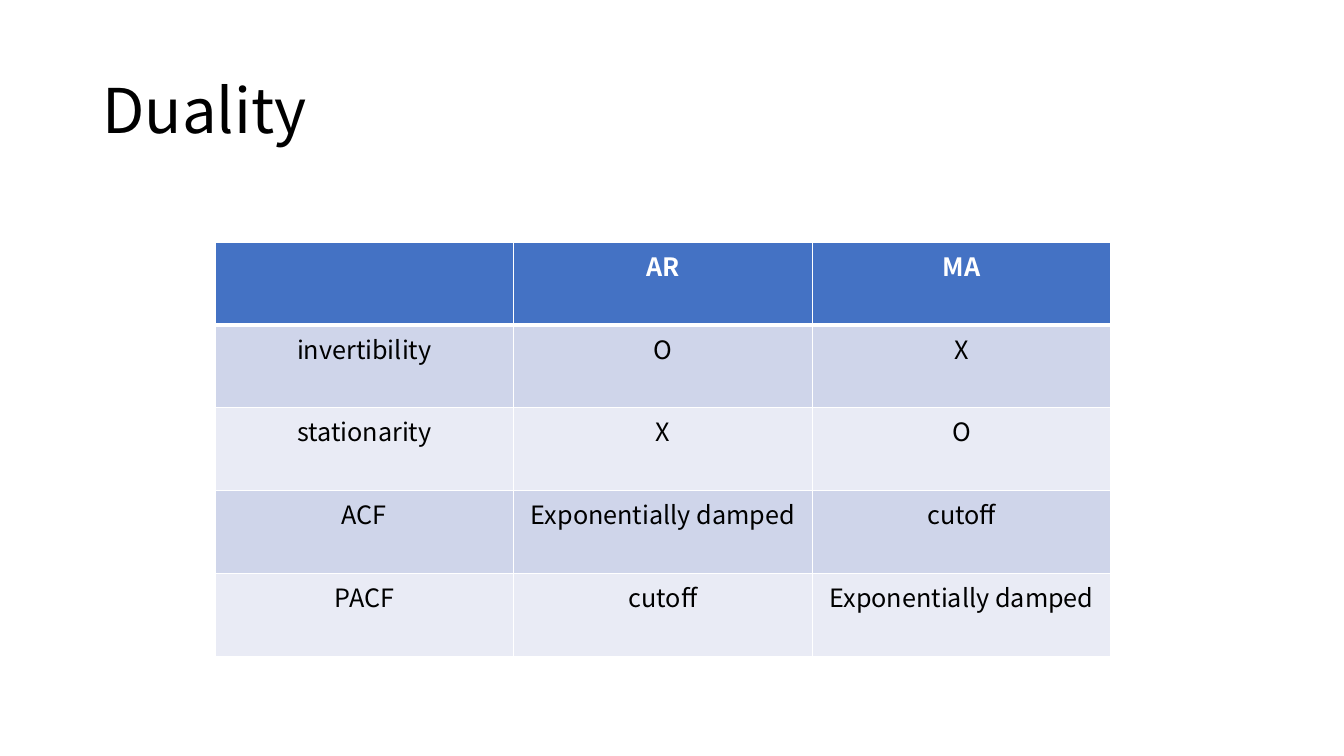
from dataclasses import dataclass

from lxml import etree
from pptx import Presentation
from pptx.dml.color import RGBColor
from pptx.enum.text import MSO_ANCHOR, PP_ALIGN
from pptx.oxml.ns import qn
from pptx.util import Pt

MIDDLE = MSO_ANCHOR.MIDDLE
LEFT, CENTER = PP_ALIGN.LEFT, PP_ALIGN.CENTER


@dataclass(frozen=True)
class Theme:
    font: str = "Noto Sans CJK KR"
    title_size: float = 44
    cell_size: float = 18
    text: str = "000000"
    header_text: str = "FFFFFF"
    header_fill: str = "4472C4"
    bands: tuple[str, str] = ("CFD5EA", "E9EBF5")
    border: str = "FFFFFF"
    thin: float = 1
    thick: float = 3


@dataclass(frozen=True)
class Box:
    left: float
    top: float
    width: float
    height: float

    def lengths(self) -> tuple[Pt, Pt, Pt, Pt]:
        return Pt(self.left), Pt(self.top), Pt(self.width), Pt(self.height)


THEME = Theme()
TITLE_BOX = Box(66, 28.75, 828, 104.4)
TABLE_BOX = Box(153.6, 172.8, 640, 296)
ROWS = (
    ("", "AR", "MA"),
    ("invertibility", "O", "X"),
    ("stationarity", "X", "O"),
    ("ACF", "Exponentially damped", "cutoff"),
    ("PACF", "cutoff", "Exponentially damped"),
)


def write(tf, text: str, size: float, color: str, bold: bool, align) -> None:
    p = tf.paragraphs[0]
    p.alignment = align
    if not text:
        p.font.size = Pt(size)
        return
    r = p.add_run()
    r.text = text
    for name, value in {"name": THEME.font, "size": Pt(size), "bold": bold}.items():
        setattr(r.font, name, value)
    r.font.color.rgb = RGBColor.from_string(color)
    east_asian = etree.SubElement(r.font._element, qn("a:ea"))
    east_asian.set("typeface", THEME.font)


def add_title(s, text: str) -> None:
    tf = s.shapes.add_textbox(*TITLE_BOX.lengths()).text_frame
    tf.word_wrap = True
    tf.vertical_anchor = MIDDLE
    write(tf, text, THEME.title_size, THEME.text, False, LEFT)
    tf.paragraphs[0].line_spacing = 0.9


def set_borders(cell, widths: dict[str, float]) -> None:
    """Draw cell sides, given in schema order (L, R, T, B), ahead of the fill."""
    tc_pr = cell._tc.get_or_add_tcPr()
    for index, (side, width) in enumerate(widths.items()):
        line = etree.Element(qn(f"a:ln{side}"), w=str(Pt(width)))
        fill = etree.SubElement(line, qn("a:solidFill"))
        etree.SubElement(fill, qn("a:srgbClr"), val=THEME.border)
        tc_pr.insert(index, line)


def add_duality_table(s) -> None:
    row_count, col_count = len(ROWS), len(ROWS[0])
    table = s.shapes.add_table(row_count, col_count, *TABLE_BOX.lengths()).table
    for col in table.columns:
        col.width = Pt(TABLE_BOX.width / col_count)
    for i, texts in enumerate(ROWS):
        table.rows[i].height = Pt(TABLE_BOX.height / row_count)
        header = i == 0
        fill = THEME.header_fill if header else THEME.bands[(i - 1) % 2]
        color = THEME.header_text if header else THEME.text
        borders = {
            "L": THEME.thin,
            "R": THEME.thin,
            "T": THEME.thick if i == 1 else THEME.thin,
            "B": THEME.thick if header else THEME.thin,
        }
        for j, text in enumerate(texts):
            cell = table.cell(i, j)
            cell.fill.solid()
            cell.fill.fore_color.rgb = RGBColor.from_string(fill)
            set_borders(cell, borders)
            write(cell.text_frame, text, THEME.cell_size, color, header, CENTER)


def main() -> None:
    prs = Presentation()
    prs.slide_width, prs.slide_height = Pt(960), Pt(540)
    s = prs.slides.add_slide(prs.slide_layouts[6])
    add_title(s, "Duality")
    add_duality_table(s)
    prs.save("out.pptx")


if __name__ == "__main__":
    main()
